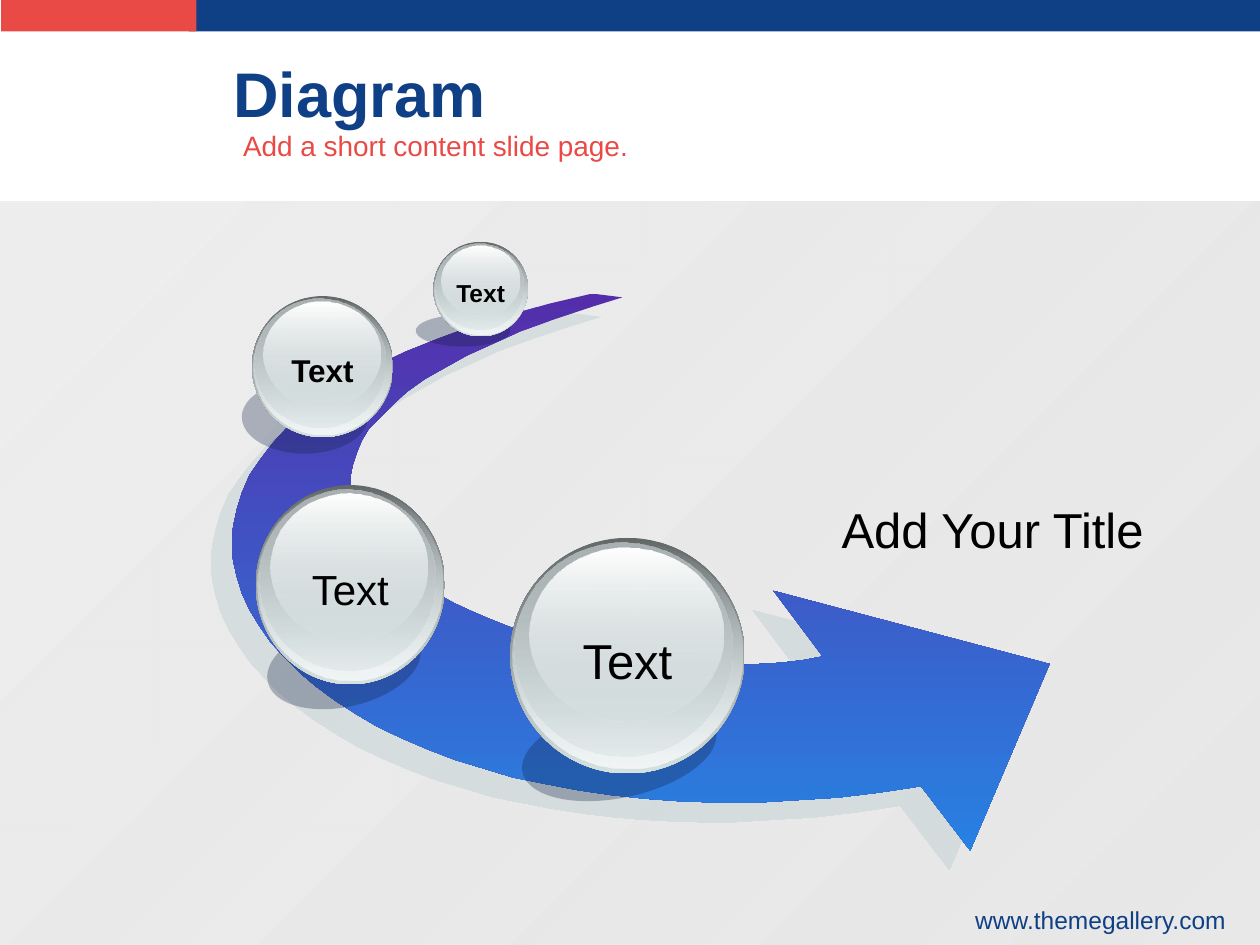
import collections

import pptx
import pptx.util
import pptx.dml.color
import pptx.enum.shapes
import pptx.enum.text
import pptx.oxml.ns
from lxml import etree

Pt = pptx.util.Pt
kind = pptx.enum.shapes.MSO_SHAPE
align = pptx.enum.text.PP_ALIGN
name = pptx.oxml.ns.qn
Stop = collections.namedtuple("Stop", "code alpha", defaults=[100])
Ball = collections.namedtuple("Ball", "left top wide high shade turn size bold")

theme = {
    "font": "Arial",
    "navy": "0F3F85", "red": "EA4A46", "ink": "000000",
    "panel": [Stop("EEEEEE"), Stop("DDDDDD", 64)],
    "arrow": [Stop("542EAA"), Stop("2881E2")],
    "cast": Stop("C1D1D3", 50),
    "shade": [Stop("0F2145", 30)],
    "rim": [Stop("636869"), Stop("D6E1E2")],
    "glow": [Stop("D6E1E2", 0), Stop("F1F5F5")],
    "body": [Stop("AAB2B3"), Stop("D6E1E2", 48)],
    "shine": [Stop("FFFFFF"), Stop("D6E1E2", 38)],
    "title": 36, "head": 28, "sub": 16, "foot": 14,
}


def paint(shape, stops, angle=270):
    shape.shadow.inherit = False
    shape.line.fill.background()
    if len(stops) == 1:
        shape.fill.solid()
        colors = [shape.fill.fore_color]
    else:
        shape.fill.gradient()
        shape.fill.gradient_angle = angle
        colors = [mark.color for mark in shape.fill.gradient_stops]
    for color, stop in zip(colors, stops):
        color.rgb = pptx.dml.color.RGBColor.from_string(stop.code)
    nodes = list(shape._element.spPr.iter(name("a:srgbClr")))
    for node, stop in zip(nodes, stops):
        if stop.alpha < 100:
            etree.SubElement(node, name("a:alpha"), val=str(stop.alpha * 1000))


def write(box, words, size, code, bold=False, side=align.LEFT, wrap=True):
    frame = box.text_frame
    frame.word_wrap = wrap
    frame.auto_size = pptx.enum.text.MSO_AUTO_SIZE.NONE
    line = frame.paragraphs[0]
    line.alignment = side
    run = line.add_run()
    run.text = words
    run.font.name = theme["font"]
    run.font.size = Pt(size)
    run.font.bold = bold
    run.font.color.rgb = pptx.dml.color.RGBColor.from_string(code)


deck = pptx.Presentation()
deck.slide_width, deck.slide_height = Pt(720), Pt(540)
slide = deck.slides.add_slide(deck.slide_layouts[5])
shapes = slide.shapes

bars = [
    (108, 0, 612, 18, [Stop(theme["navy"])]),
    (0, 115, 720, 425, theme["panel"]),
    (0.7, 0, 111.6, 18, [Stop(theme["red"])]),
]
for *spot, stops in bars:
    paint(shapes.add_shape(kind.RECTANGLE, *map(Pt, spot)), stops, 315)

title = shapes.title
title.left, title.top, title.width, title.height = map(Pt, (126, 33.8, 526.3, 38.2))
title.text_frame.vertical_anchor = pptx.enum.text.MSO_ANCHOR.MIDDLE
write(title, "Diagram", theme["title"], theme["navy"], True)

outer = [(470, 233), (-64, 347), (224, 710), (731, 624)]
inner = [(653, 521), (412, 567), (36, 368), (494, 236)]
head = [(770, 675), (833, 527), (614, 469)]
steps = 45
curves = []
for ends in (outer, inner):
    curve = []
    for step in range(steps + 1):
        t = step / steps
        parts = (1 - t) ** 3, 3 * t * (1 - t) ** 2, 3 * t ** 2 * (1 - t), t ** 3
        curve.append(tuple(sum(part * value for part, value in zip(parts, axis))
                           for axis in zip(*ends)))
    curves.append(curve)
edge = curves[0] + head + curves[1]
pen = shapes.build_freeform(*edge[0], scale=Pt(0.72))
pen.add_line_segments(edge[1:], close=True)
arrow = pen.convert_to_shape()
paint(arrow, theme["arrow"])

cast = theme["cast"]
effect = arrow._element.spPr.find(name("a:effectLst"))
drop = etree.SubElement(effect, name("a:outerShdw"), blurRad="0",
                        dist=str(Pt(16.3)), dir=str(137 * 60000),
                        algn="ctr", rotWithShape="0")
tint = etree.SubElement(drop, name("a:srgbClr"), val=cast.code)
etree.SubElement(tint, name("a:alpha"), val=str(cast.alpha * 1000))

notes = [
    (473.8, 282.2, 210.2, "Add Your Title", "head", "ink", align.LEFT),
    (131.8, 69.8, 372.2, "Add a short content slide page.", "sub", "red", align.LEFT),
    (529.9, 513.4, 177.8, "www.themegallery.com", "foot", "navy", align.RIGHT),
]
for left, top, wide, words, size, code, side in notes:
    high = 1.2 * theme[size] + 7.4
    box = shapes.add_textbox(Pt(left), Pt(top), Pt(wide), Pt(high))
    write(box, words, theme[size], theme[code], side=side)

layers = {
    "rim": (0, 0, 1, 1),
    "glow": (0.01, 0.01, 0.98, 0.97),
    "body": (0.02, 0.02, 0.93, 0.91),
    "shine": (0.08, 0.04, 0.83, 0.74),
}
sink = 2.3
balls = [
    Ball(291.6, 307.4, 133.9, 134.6, (297.4, 403.2, 113, 52.6), 347.9, 28, False),
    Ball(146.2, 277.2, 108, 113.8, (151.9, 355.7, 89.3, 48.2), 347.1, 24, False),
    Ball(144, 169.2, 80.6, 80.6, (138.2, 217.4, 72, 41.8), 0, 18, True),
    Ball(247.7, 138.2, 54, 54, (237.6, 180, 54, 18), 0, 14, True),
]
for ball in balls:
    group = shapes.add_group_shape().shapes
    shade = group.add_shape(kind.OVAL, *map(Pt, ball.shade))
    shade.rotation = ball.turn
    paint(shade, theme["shade"])
    for layer, (x, y, w, h) in layers.items():
        spot = (ball.left + x * ball.wide, ball.top + y * ball.high,
                w * ball.wide, h * ball.high)
        paint(group.add_shape(kind.OVAL, *map(Pt, spot)), theme[layer])
    wide, high = 1.8 * ball.size + 18, 1.2 * ball.size + 7.4
    left = ball.left + (ball.wide - wide) / 2
    top = ball.top + (ball.high - high) / 2 + sink
    label = group.add_textbox(Pt(left), Pt(top), Pt(wide), Pt(high))
    write(label, "Text", ball.size, theme["ink"], ball.bold, align.CENTER, False)

deck.save("out.pptx")
